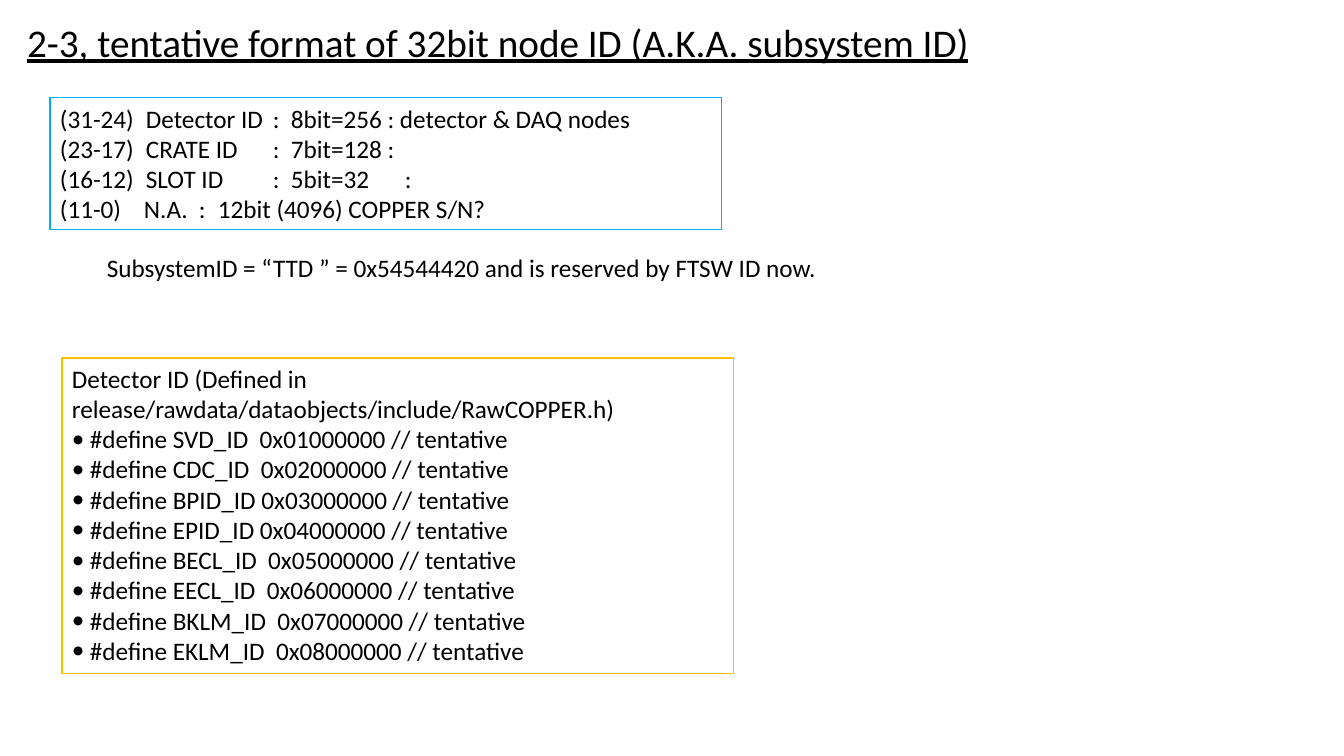
from dataclasses import dataclass
from lxml import etree
from pptx import Presentation
from pptx import util as u
from pptx.dml.color import RGBColor
from pptx.enum import shapes, text
from pptx.oxml import ns

SCALE = 914400 / 100.8


@dataclass(frozen=True)
class Theme:
    """Hold the colours, font and type sizes."""
    ink: str = "000000"
    blue: str = "00B0F0"
    gold: str = "FFC000"
    font: str = "Calibri"
    head: int = 28
    body: int = 18


LOOK = Theme()
COLS = (86, 213, 231, 345)
FIELDS = [
    ("(31-24)\tDetector ID\t:\t8bit=256 : detector & DAQ nodes", COLS),
    ("(23-17)\tCRATE ID\t:\t7bit=128 :", COLS),
    ("(16-12)\tSLOT ID\t:\t5bit=32\t:", COLS),
    ("(11-0)\tN.A.\t:\t12bit (4096) COPPER S/N?", (84, 139, 158)),
]
UNITS = ["SVD_ID ", "CDC_ID ", "BPID_ID", "EPID_ID",
         "BECL_ID ", "EECL_ID ", "BKLM_ID ", "EKLM_ID "]


def px(n):
    """Turn pixels into EMU."""
    return u.Emu(round(n * SCALE))


def place(item, box):
    """Move an item to a pixel box."""
    item.left, item.top, item.width, item.height = map(px, box)


def write(para, words, size=LOOK.body, line=False, stops=(), dot=0):
    """Write one formatted paragraph with optional tab stops or bullet."""
    para.alignment = text.PP_ALIGN.LEFT
    run = para.add_run()
    run.text = words
    font = run.font
    font.name, font.size, font.underline = LOOK.font, u.Pt(size), line
    font.color.rgb = RGBColor.from_string(LOOK.ink)
    props = para._p.get_or_add_pPr()
    if dot:
        props.set("marL", str(px(dot)))
        props.set("indent", str(-px(dot)))
        etree.SubElement(props, ns.qn("a:buFont"), typeface=LOOK.font)
        etree.SubElement(props, ns.qn("a:buChar"), char="•")
    if stops:
        tabs = etree.SubElement(props, ns.qn("a:tabLst"))
        for stop in stops:
            etree.SubElement(tabs, ns.qn("a:tab"), pos=str(px(stop)), algn="l")


def fill(frame, rows):
    """Fill a text frame with (words, format) rows."""
    for i, (words, form) in enumerate(rows):
        write(frame.add_paragraph() if i else frame.paragraphs[0], words, **form)


def panel(slide, box, tint, rows):
    """Draw an outlined panel of text rows."""
    item = slide.shapes.add_shape(shapes.MSO_SHAPE.RECTANGLE, *map(px, box))
    item.shadow.inherit = False
    item.fill.background()
    item.line.color.rgb = RGBColor.from_string(tint)
    item.line.width = u.Pt(0.75)
    item.text_frame.word_wrap = True
    item.text_frame.vertical_anchor = text.MSO_ANCHOR.TOP
    fill(item.text_frame, rows)


def title(slide, box):
    """Set the underlined heading."""
    head = slide.shapes.title
    place(head, box)
    frame = head.text_frame
    frame.word_wrap = False
    frame.auto_size = text.MSO_AUTO_SIZE.NONE
    frame.vertical_anchor = text.MSO_ANCHOR.TOP
    write(frame.paragraphs[0],
          "2-3, tentative format of 32bit node ID (A.K.A. subsystem ID)",
          size=LOOK.head, line=True)


def bits(slide, box):
    """List the bit fields of the node ID."""
    panel(slide, box, LOOK.blue, [(words, {"stops": stops}) for words, stops in FIELDS])


def codes(slide, box):
    """List the detector ID definitions."""
    rows = [("Detector ID (Defined in", {}),
            ("release/rawdata/dataobjects/include/RawCOPPER.h)", {})]
    rows += [(f"#define {unit} 0x{n:02d}000000 // tentative", {"dot": 18})
             for n, unit in enumerate(UNITS, 1)]
    panel(slide, box, LOOK.gold, rows)


def note(slide, box):
    """Add the remark on the reserved ID."""
    frame = slide.shapes.add_textbox(*map(px, box)).text_frame
    frame.word_wrap = True
    fill(frame, [("SubsystemID = “TTD ” = 0x54544420 and is reserved by FTSW ID now.", {})])


def main():
    """Build and save the slide."""
    deck = Presentation()
    deck.slide_width, deck.slide_height = px(1344), px(756)
    slide = deck.slides.add_slide(deck.slide_layouts[5])
    title(slide, (17, 13, 974, 57))
    bits(slide, (50, 98, 672, 132))
    codes(slide, (62, 358, 672, 316))
    note(slide, (97, 247, 853, 40))
    deck.save("out.pptx")


main()
